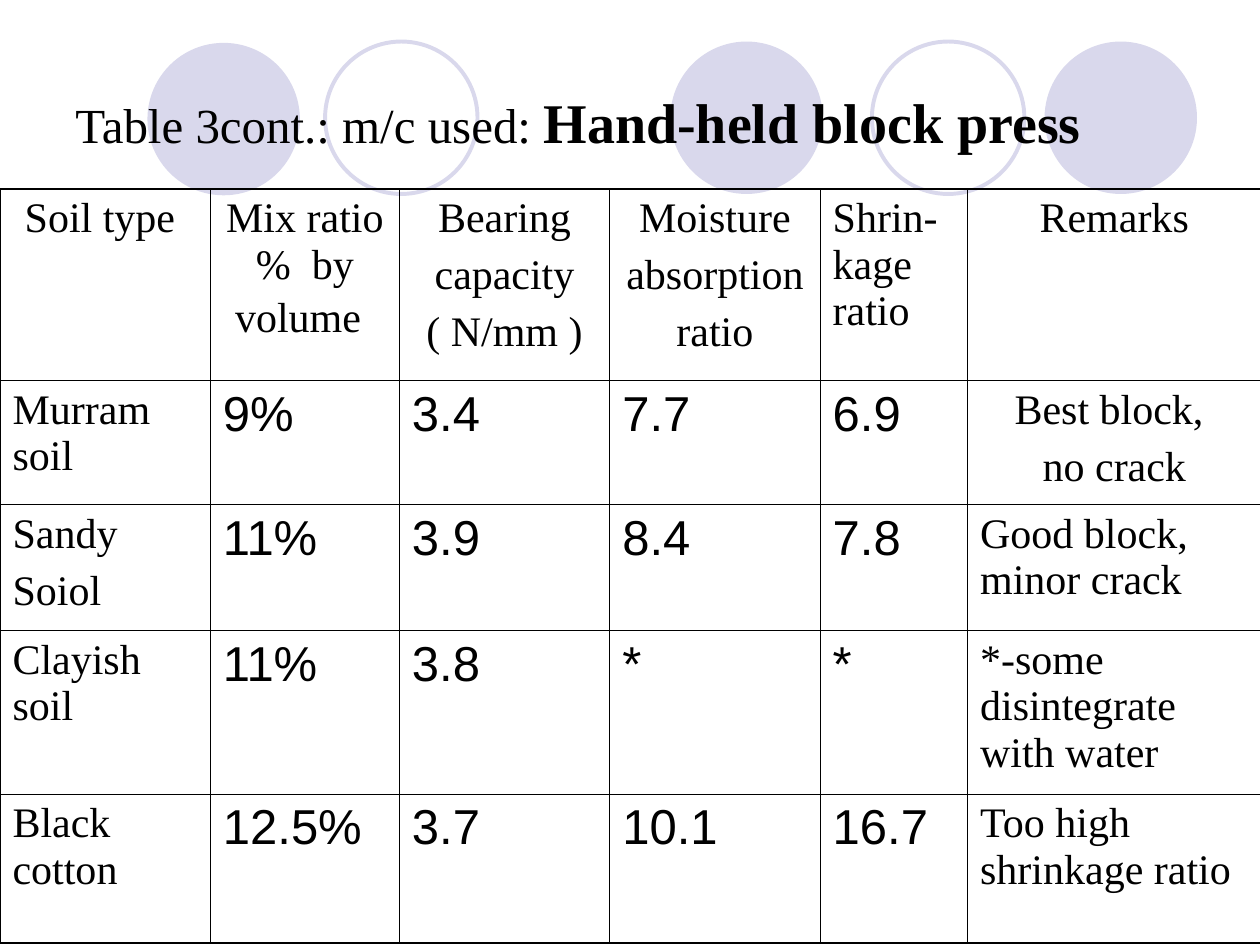
"""Build a slide with a table of soil block test results."""
from lxml import etree
from pptx import Presentation
from pptx.dml.color import RGBColor
from pptx.enum.shapes import MSO_SHAPE
from pptx.enum.text import MSO_ANCHOR, PP_ALIGN
from pptx.oxml.ns import qn
from pptx.util import Inches, Pt

BLACK = RGBColor(0x00, 0x00, 0x00)
LAVENDER = RGBColor(0xD9, 0xD8, 0xEC)
OVAL = MSO_SHAPE.OVAL
MIDDLE = MSO_ANCHOR.MIDDLE
LEFT, CENTER = PP_ALIGN.LEFT, PP_ALIGN.CENTER
SERIF, SANS = "Times New Roman", "Arial"
THIN, THICK = 0.45, 1.08

TITLE_RUNS = [
    ("Table 3cont.: m/c used: ", 28, SERIF, False),
    ("Hand-held block press", 32, SERIF, True),
    (" ", 38, SANS, False),
]
CIRCLE_SIZE = 1.21
CIRCLES = [
    (5.32, 0.33, True),
    (8.29, 0.33, True),
    (1.17, 0.34, True),
    (6.92, 0.33, False),
    (2.58, 0.33, False),
]
COLUMN_WIDTHS = [1.67, 1.5, 1.67, 1.67, 1.17, 2.33]
ROW_HEIGHTS = [1.52, 0.98, 1, 1.3, 1.18]
ROWS = [
    ["Soil type ", "Mix ratio %  by volume", "Bearing\ncapacity\n( N/mm )",
     "Moisture\nabsorption\nratio", "Shrin-kage ratio", "Remarks"],
    ["Murram soil", "9%", "3.4", "7.7", "6.9", "Best block, \nno crack"],
    ["Sandy\nSoiol", "11%", "3.9", "8.4", "7.8", "Good block, minor crack"],
    ["Clayish soil", "11%", "3.8", "*", "*", "*-some disintegrate with water"],
    ["Black cotton", "12.5%", "3.7", "10.1", "16.7", "Too high shrinkage ratio"],
]
CENTERED_CELLS = {(0, 0), (0, 1), (0, 2), (0, 3), (0, 5), (1, 5)}
WIDE_SPACE_CELL = (0, 1)


def add_circle(slide, left, top, filled):
    shape = slide.shapes.add_shape(
        OVAL, Inches(left), Inches(top), Inches(CIRCLE_SIZE), Inches(CIRCLE_SIZE))
    shape.shadow.inherit = False
    if filled:
        shape.fill.solid()
        shape.fill.fore_color.rgb = LAVENDER
        shape.line.fill.background()
    else:
        shape.fill.background()
        shape.line.color.rgb = LAVENDER
        shape.line.width = Pt(2.25)


def style_font(font, size, name, bold=False):
    font.size = Pt(size)
    font.name = name
    font.bold = bold
    font.color.rgb = BLACK


def add_title(slide):
    box = slide.shapes.add_textbox(Inches(0.5), Inches(0.3), Inches(9), Inches(1.25))
    frame = box.text_frame
    frame.word_wrap = True
    frame.vertical_anchor = MIDDLE
    for text, size, name, bold in TITLE_RUNS:
        run = frame.paragraphs[0].add_run()
        run.text = text
        style_font(run.font, size, name, bold)


def set_borders(cell, row, column):
    outer_edges = {
        "a:lnL": column == 0,
        "a:lnR": column == len(COLUMN_WIDTHS) - 1,
        "a:lnT": row == 0,
        "a:lnB": row == len(ROW_HEIGHTS) - 1,
    }
    properties = cell._tc.get_or_add_tcPr()
    for tag, outer in outer_edges.items():
        width = Pt(THICK if outer else THIN)
        line = etree.SubElement(properties, qn(tag), w=str(width))
        fill = etree.SubElement(line, qn("a:solidFill"))
        etree.SubElement(fill, qn("a:srgbClr"), val=str(BLACK))


def fill_cell(cell, text, row, column):
    set_borders(cell, row, column)
    cell.fill.background()
    numeric = row > 0 and 0 < column < len(COLUMN_WIDTHS) - 1
    cell.text = text
    for index, paragraph in enumerate(cell.text_frame.paragraphs):
        paragraph.alignment = CENTER if (row, column) in CENTERED_CELLS else LEFT
        paragraph.space_before = Pt(6 if index else 0)
        style_font(paragraph.font, 28 if numeric else 24, SANS if numeric else SERIF)
    if (row, column) == WIDE_SPACE_CELL:
        run = cell.text_frame.paragraphs[0].add_run()
        run.text = " "
        style_font(run.font, 28, SANS)


def add_results_table(slide):
    table = slide.shapes.add_table(
        len(ROW_HEIGHTS), len(COLUMN_WIDTHS), Inches(0), Inches(1.5),
        Inches(sum(COLUMN_WIDTHS)), Inches(sum(ROW_HEIGHTS))).table
    table.first_row = False
    table.horz_banding = False
    for column, width in zip(table.columns, COLUMN_WIDTHS):
        column.width = Inches(width)
    for row, height in zip(table.rows, ROW_HEIGHTS):
        row.height = Inches(height)
    for row, texts in enumerate(ROWS):
        for column, text in enumerate(texts):
            fill_cell(table.cell(row, column), text, row, column)


def main():
    presentation = Presentation()
    presentation.slide_width = Inches(10)
    presentation.slide_height = Inches(7.5)
    slide = presentation.slides.add_slide(presentation.slide_layouts[6])
    for left, top, filled in CIRCLES:
        add_circle(slide, left, top, filled)
    add_title(slide)
    add_results_table(slide)
    presentation.save("out.pptx")


if __name__ == "__main__":
    main()
